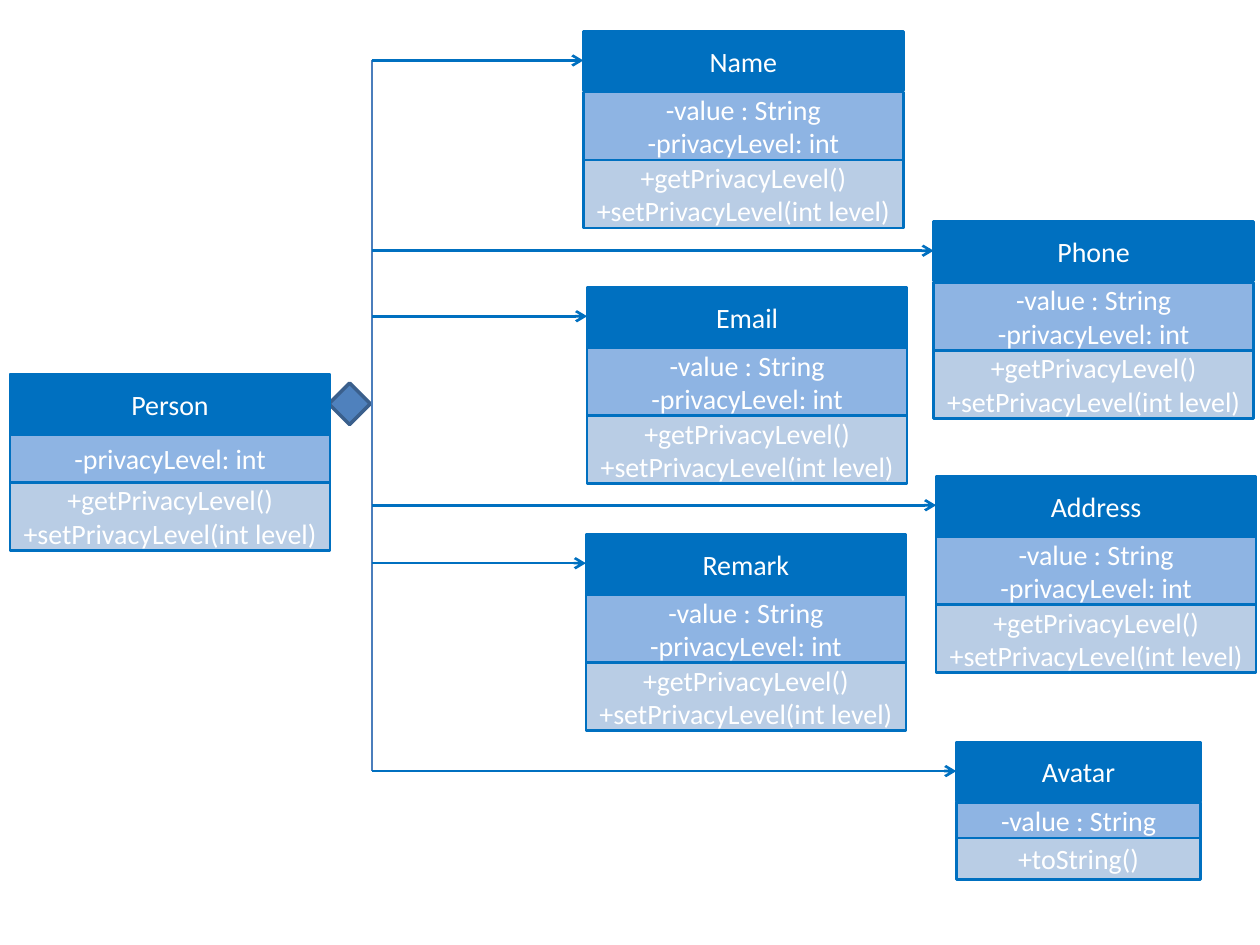
"""Build a class diagram of a person and its contact fields."""
from lxml import etree
from pptx import Presentation
from pptx.dml.color import RGBColor
from pptx.enum.shapes import MSO_CONNECTOR, MSO_SHAPE
from pptx.enum.text import MSO_ANCHOR, PP_ALIGN
from pptx.oxml.ns import qn
from pptx.util import Inches, Pt

RECTANGLE = MSO_SHAPE.RECTANGLE
DIAMOND = MSO_SHAPE.DIAMOND
STRAIGHT = MSO_CONNECTOR.STRAIGHT
MIDDLE = MSO_ANCHOR.MIDDLE
CENTER = PP_ALIGN.CENTER

COLORS = {
    "header": "0070C0",
    "attributes": "8EB4E3",
    "methods": "B9CDE5",
    "diamond": "4F81BD",
    "diamond_edge": "3A5F8C",
    "trunk": "4B7EBC",
    "text": "FFFFFF",
}
FONT = "Calibri"
WIDTH = 2.54
HEADER_HEIGHT = 0.47
HEADER_STEP = 0.48
ROW_HEIGHT = 0.54
ARROW_OFFSET = 0.23
TRUNK = 2.95
DIAMOND_SIZE = 0.33

VALUE = "-value : String"
LEVEL = "-privacyLevel: int"
ACCESSORS = "+getPrivacyLevel()\n+setPrivacyLevel(int level)"

PERSON = ("Person", 0.08, 2.97)
FIELDS = [
    ("Name", 4.63, 0.25),
    ("Phone", 7.41, 1.76),
    ("Email", 4.66, 2.28),
    ("Address", 7.43, 3.78),
    ("Remark", 4.65, 4.24),
]
AVATAR = ("Avatar", 7.59, 5.89)


def color(name):
    """Return a palette colour."""
    return RGBColor.from_string(COLORS[name])


def add_block(slide, kind, box, fill, edge="header", weight=1.5):
    """Add a filled and outlined shape."""
    shape = slide.shapes.add_shape(kind, *map(Inches, box))
    shape.shadow.inherit = False
    shape.fill.solid()
    shape.fill.fore_color.rgb = color(fill)
    shape.line.color.rgb = color(edge)
    shape.line.width = Pt(weight)
    return shape


def add_compartment(slide, box, fill, text):
    """Add one labelled compartment of a class."""
    text_frame = add_block(slide, RECTANGLE, box, fill).text_frame
    text_frame.word_wrap = True
    text_frame.vertical_anchor = MIDDLE
    text_frame.margin_left = text_frame.margin_right = Inches(0.05)
    text_frame.text = text
    for paragraph in text_frame.paragraphs:
        paragraph.alignment = CENTER
        for run in paragraph.runs:
            run.font.name = FONT
            run.font.size = Pt(16)
            run.font.color.rgb = color("text")


def add_class(slide, place, attributes, methods, width=WIDTH,
              attributes_height=ROW_HEIGHT, methods_height=ROW_HEIGHT):
    """Stack the header, attributes and methods of a class."""
    name, left, top = place
    attributes_top = top + HEADER_STEP
    methods_top = attributes_top + attributes_height
    add_compartment(slide, (left, top, width, HEADER_HEIGHT), "header", name)
    add_compartment(slide, (left, attributes_top, width, attributes_height),
                    "attributes", attributes)
    add_compartment(slide, (left, methods_top, width, methods_height),
                    "methods", methods)


def add_line(slide, start, end, line_color, weight, arrow=False):
    """Add a straight line, with an open arrowhead if asked."""
    connector = slide.shapes.add_connector(STRAIGHT, *map(Inches, start + end))
    connector.line.color.rgb = color(line_color)
    connector.line.width = Pt(weight)
    if arrow:
        outline = connector.line._get_or_add_ln()
        etree.SubElement(outline, qn("a:tailEnd"), type="arrow")
    etree.SubElement(connector._element.spPr, qn("a:effectLst"))


def add_links(slide):
    """Join the person to every field through a shared trunk."""
    _, left, top = PERSON
    add_block(slide, DIAMOND,
              (left + WIDTH - 0.01, top + 0.07, DIAMOND_SIZE, DIAMOND_SIZE),
              "diamond", "diamond_edge", 2)
    targets = [(x, y + ARROW_OFFSET) for _, x, y in FIELDS + [AVATAR]]
    add_line(slide, (TRUNK, targets[0][1]), (TRUNK, targets[-1][1]), "trunk", 1)
    for x, y in targets:
        add_line(slide, (TRUNK, y), (x, y), "header", 1.5, arrow=True)


def main():
    """Build and save the slide."""
    presentation = Presentation()
    presentation.slide_width = Inches(10)
    presentation.slide_height = Inches(7.5)
    slide = presentation.slides.add_slide(presentation.slide_layouts[6])
    add_links(slide)
    add_class(slide, PERSON, LEVEL, ACCESSORS, attributes_height=0.38)
    for place in FIELDS:
        add_class(slide, place, f"{VALUE}\n{LEVEL}", ACCESSORS)
    add_class(slide, AVATAR, VALUE, "+toString()", 1.94, 0.28, 0.33)
    presentation.save("out.pptx")


if __name__ == "__main__":
    main()
